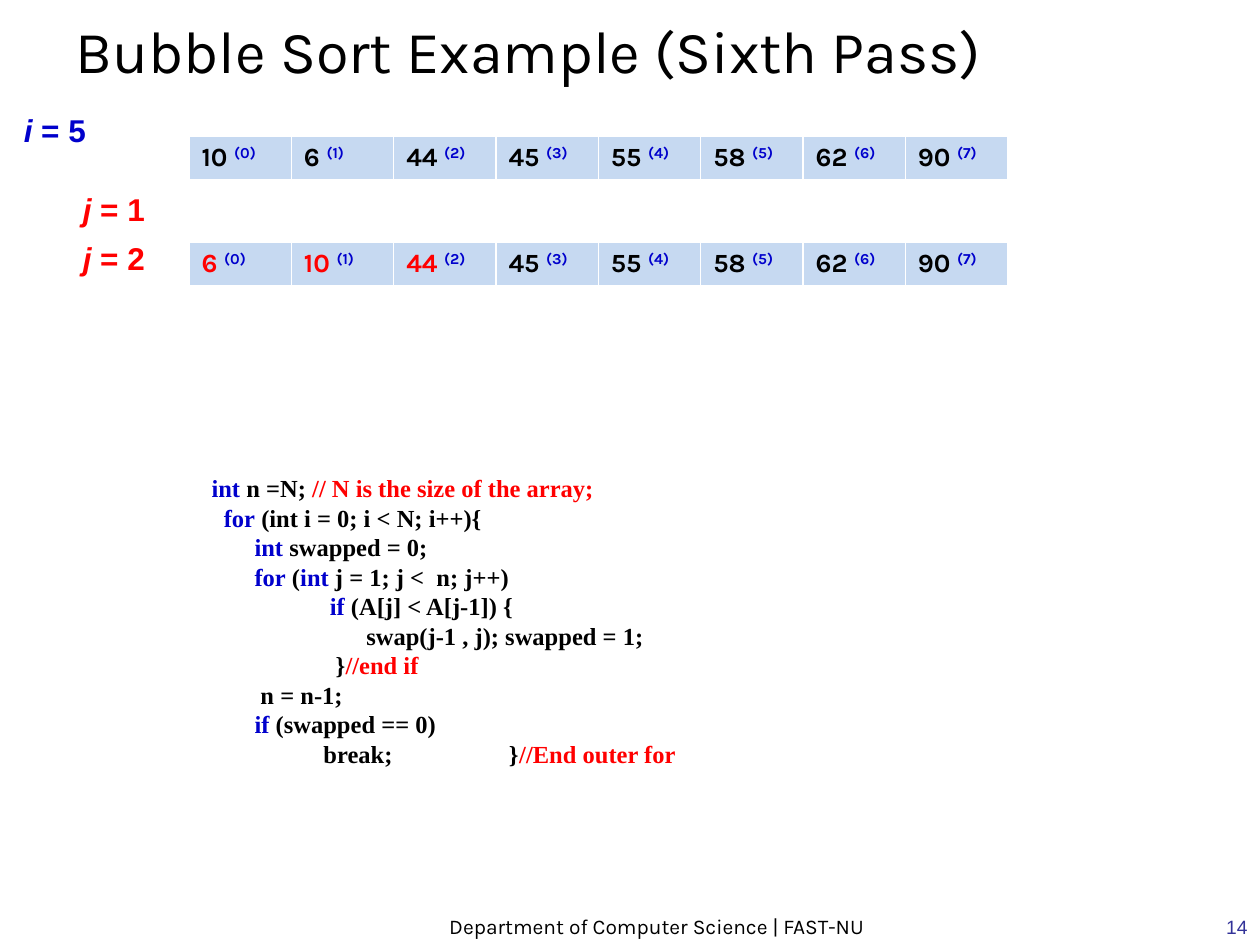
"""Build the slide for the sixth pass of the bubble sort example."""
import pptx
import pptx.util
import pptx.dml.color
import pptx.enum.text
import pptx.oxml
import pptx.oxml.ns

Cm, Pt = pptx.util.Cm, pptx.util.Pt
RGB = pptx.dml.color.RGBColor
ANCHOR = pptx.enum.text.MSO_ANCHOR
ALIGN = pptx.enum.text.PP_ALIGN
FIT = pptx.enum.text.MSO_AUTO_SIZE

BLACK = RGB(0x00, 0x00, 0x00)
BLUE = RGB(0x00, 0x00, 0xCC)
RED = RGB(0xFF, 0x00, 0x00)
NAVY = RGB(0x33, 0x33, 0x99)
PALE = RGB(0xC6, 0xD9, 0xF1)

TITLE = "Bubble Sort Example (Sixth Pass)"
FOOTER = "Department of Computer Science | FAST-NU"
NUMBER = "14"

STEPS = [
    ("i", " = 5", BLUE, 0.23, 2.11),
    ("j", " = 1", RED, 1.42, 3.71),
    ("j", " = 2", RED, 1.42, 4.7),
]
ROWS = [
    (2.74, [10, 6, 44, 45, 55, 58, 62, 90], 0),
    (4.88, [6, 10, 44, 45, 55, 58, 62, 90], 3),
]
CODE = [
    [("int", BLUE), (" n =N; ", BLACK), ("// N is the size of the array;", RED)],
    [("  ", BLACK), ("for", BLUE), (" (int i = 0; i < N; i++){", BLACK)],
    [("       ", BLACK), ("int", BLUE), (" swapped = 0;", BLACK)],
    [("       ", BLACK), ("for", BLUE), (" (", BLACK), ("int", BLUE),
     (" j = 1; j <  n; j++)", BLACK)],
    [("\t         ", BLACK), ("if", BLUE), (" (A[j] < A[j-1]) {", BLACK)],
    [("\t               swap(j-1 , j); swapped = 1;", BLACK)],
    [("\t          }", BLACK), ("//end if", RED)],
    [("        n = n-1;", BLACK)],
    [("       ", BLACK), ("if ", BLUE), ("(swapped == 0)", BLACK)],
    [("\t        break;                   }", BLACK), ("//End outer for", RED)],
]


def put(para, text, face, size, color, bold=False, slant=False):
    run = para.add_run()
    run.text = text
    font = run.font
    font.name, font.size, font.bold, font.italic = face, Pt(size), bold, slant
    font.color.rgb = color
    return run


def place(shape, left, top, width, height):
    shape.left, shape.top = Cm(left), Cm(top)
    shape.width, shape.height = Cm(width), Cm(height)


def add_box(slide, left, top, width, height, wrap=True):
    frame = slide.shapes.add_textbox(
        Cm(left), Cm(top), Cm(width), Cm(height)).text_frame
    frame.word_wrap = wrap
    return frame


def add_note(slide, spot, text, size, face, color, align):
    frame = add_box(slide, *spot)
    frame.vertical_anchor = ANCHOR.BOTTOM
    para = frame.paragraphs[0]
    para.alignment = align
    put(para, text, face, size, color)


def add_row(slide, top, values, red):
    table = slide.shapes.add_table(
        1, len(values), Cm(3.81), Cm(top), Cm(16.51), Cm(0.89)).table
    table.horz_banding = False
    for spot, value in enumerate(values):
        cell = table.cell(0, spot)
        cell.fill.solid()
        cell.fill.fore_color.rgb = PALE
        para = cell.text_frame.paragraphs[0]
        color = RED if spot < red else BLACK
        put(para, f"{value} ", "Karla", 15, color, True)
        index = put(para, f"({spot})", "Karla", 15, BLUE, True)
        index.font._element.set("baseline", "30000")


def set_tabs(para):
    props = para._p.get_or_add_pPr()
    props.set("marL", "0")
    props.set("indent", "0")
    space = pptx.oxml.ns.nsdecls("a")
    props.append(pptx.oxml.parse_xml(f"<a:buNone {space}/>"))
    props.append(pptx.oxml.parse_xml(
        f'<a:tabLst {space}><a:tab pos="{Cm(2.54)}" algn="l"/></a:tabLst>'))


def fill_code(body):
    place(body, 4.01, 9.53, 12.7, 6.35)
    frame = body.text_frame
    frame.auto_size = FIT.NONE
    for line, parts in enumerate(CODE):
        para = frame.add_paragraph() if line else frame.paragraphs[0]
        set_tabs(para)
        para.line_spacing = 0.8
        para.space_before = Pt(3.4 if line else 0)
        for text, color in parts:
            put(para, text, "Times New Roman", 14, color, True)


def main():
    deck = pptx.Presentation()
    deck.slide_width, deck.slide_height = Cm(25.4), Cm(19.05)
    slide = deck.slides.add_slide(deck.slide_layouts[1])

    title = slide.shapes.title
    place(title, 1.27, 0, 20.12, 1.85)
    title.text_frame.auto_size = FIT.NONE
    title.text_frame.vertical_anchor = ANCHOR.BOTTOM
    head = title.text_frame.paragraphs[0]
    head.alignment = ALIGN.LEFT
    put(head, TITLE, "Karla", 34, BLACK)

    fill_code(slide.placeholders[1])
    for name, value, color, left, top in STEPS:
        para = add_box(slide, left, top, 1.78, 1.02, False).paragraphs[0]
        put(para, name, "Arial", 18, color, True, True)
        put(para, value, "Arial", 18, color, True)
    for top, values, red in ROWS:
        add_row(slide, top, values, red)

    add_note(slide, (6.99, 17.98, 12.5, 1.07), FOOTER, 12, "Karla", BLACK,
             ALIGN.CENTER)
    add_note(slide, (20.12, 17.78, 5.28, 1.27), NUMBER, 11, "Arial", NAVY,
             ALIGN.RIGHT)
    deck.save("out.pptx")


if __name__ == "__main__":
    main()
